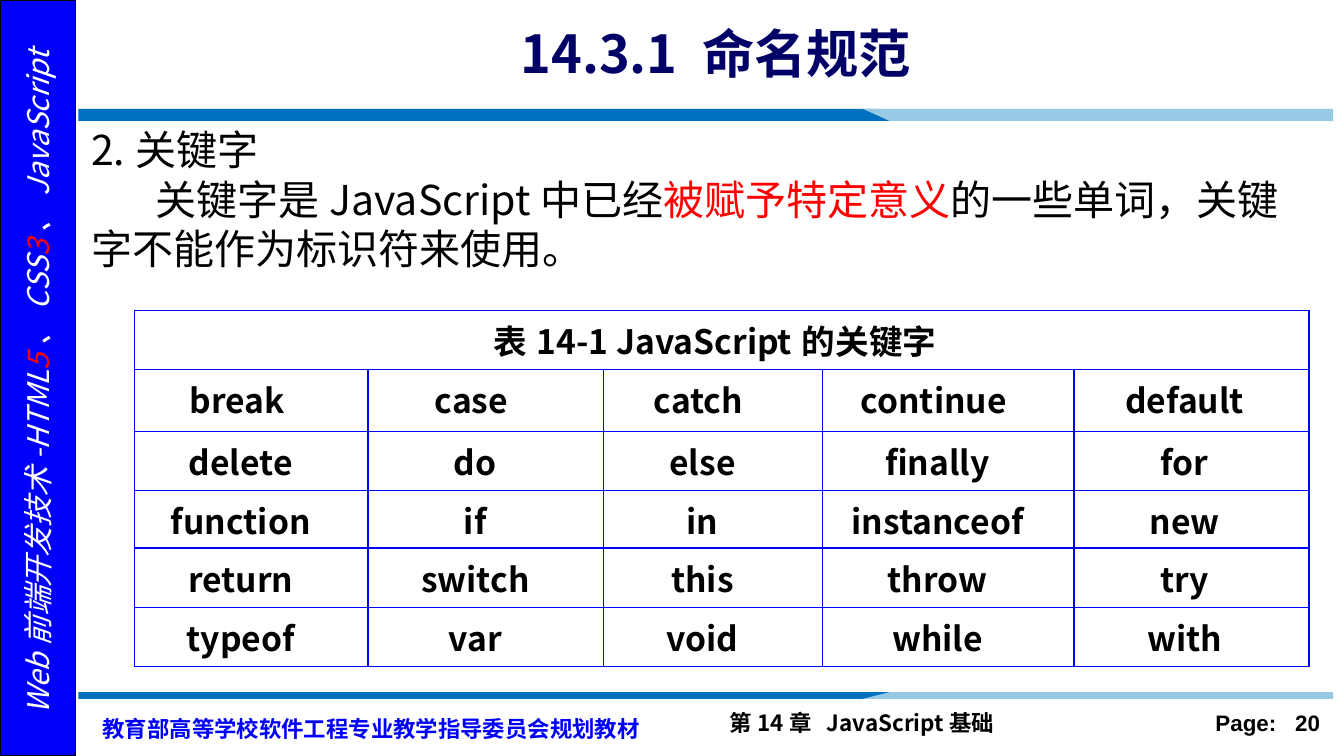
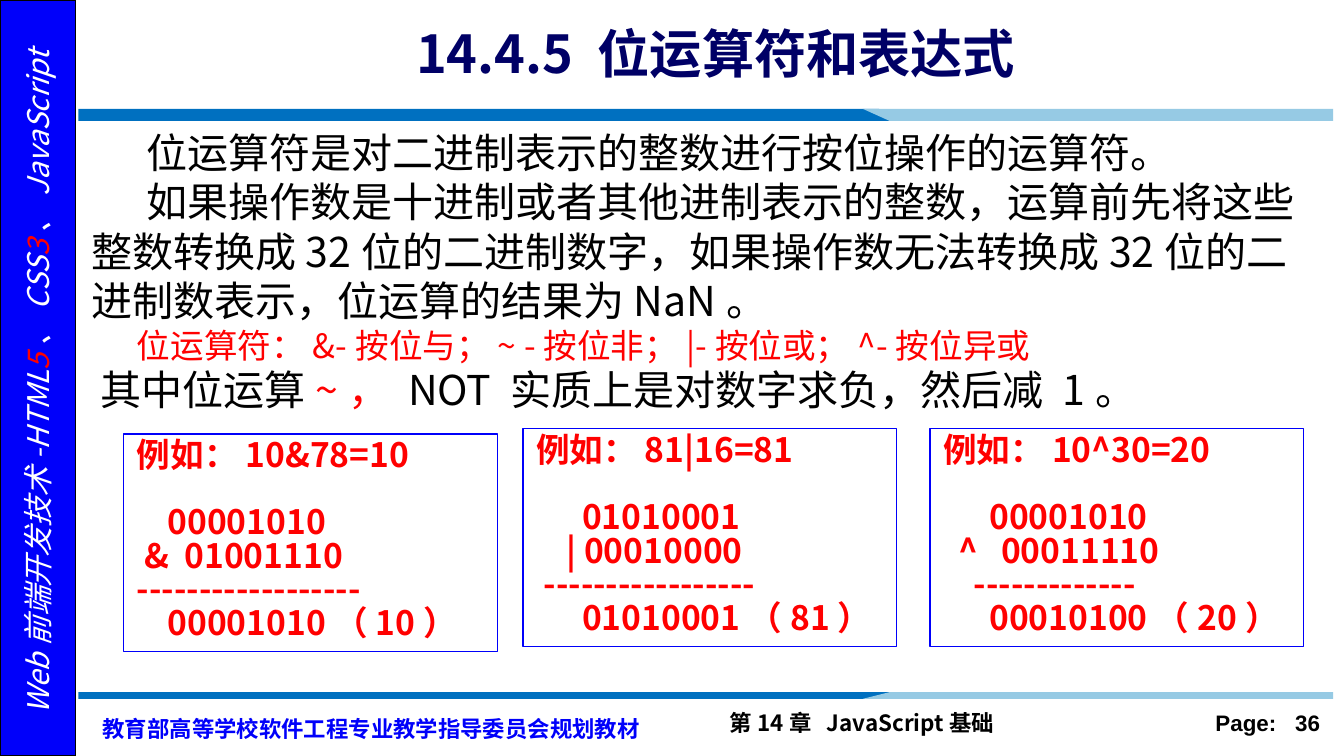
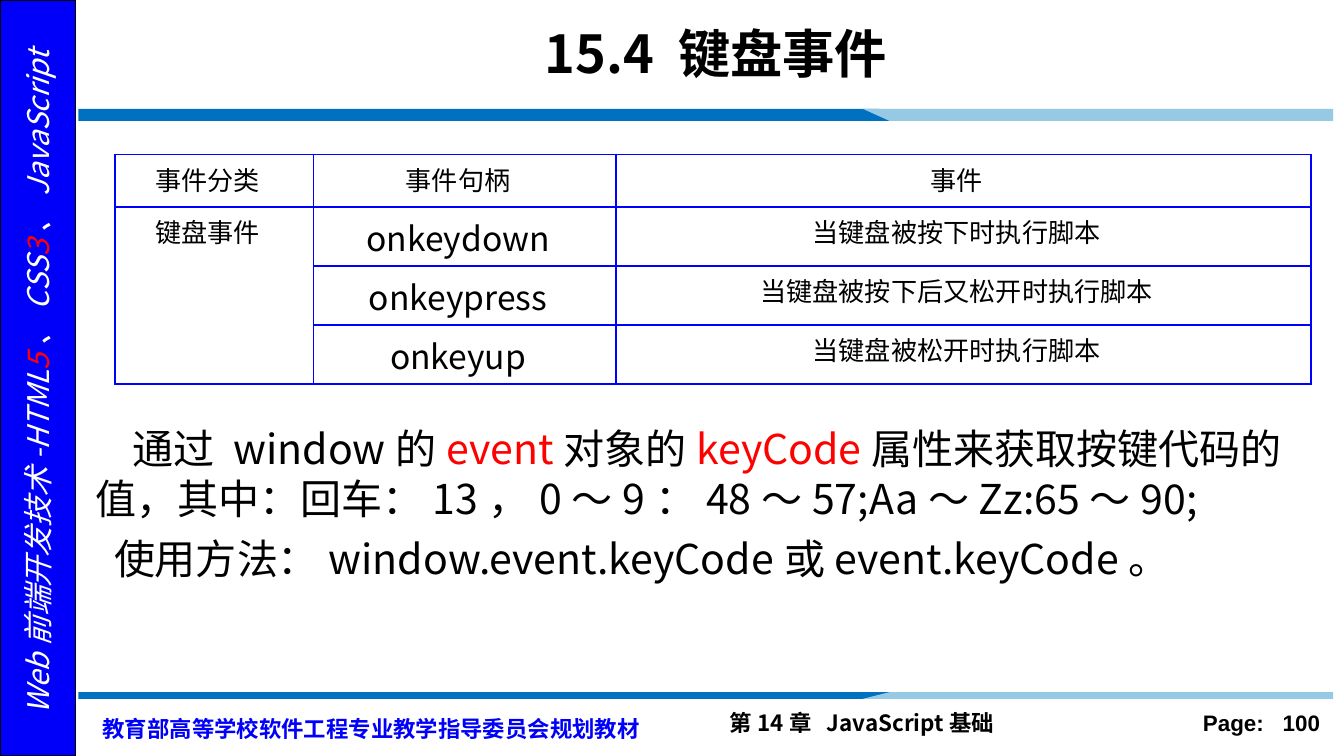
from dataclasses import dataclass

from lxml import etree
from pptx import Presentation
from pptx.dml.color import RGBColor
from pptx.enum.shapes import MSO_SHAPE
from pptx.enum.text import MSO_ANCHOR, PP_ALIGN
from pptx.oxml.ns import qn
from pptx.util import Emu, Inches, Pt

# Enum members
RECTANGLE = MSO_SHAPE.RECTANGLE
TOP, MIDDLE = MSO_ANCHOR.TOP, MSO_ANCHOR.MIDDLE
LEFT, CENTER, RIGHT = PP_ALIGN.LEFT, PP_ALIGN.CENTER, PP_ALIGN.RIGHT

# Grid: 100 columns across a 16:9 slide, rows as tall as the columns are wide
SLIDE_WIDTH = Inches(10)
SLIDE_HEIGHT = Emu(SLIDE_WIDTH * 9 // 16)
COLUMN = SLIDE_WIDTH / 100
SLIDE_ROWS = SLIDE_HEIGHT / COLUMN

# Colours and fonts
BLACK = RGBColor(0x00, 0x00, 0x00)
WHITE = RGBColor(0xFF, 0xFF, 0xFF)
RED = RGBColor(0xFF, 0x00, 0x00)
NAVY = RGBColor(0x00, 0x00, 0x66)
BLUE = RGBColor(0x00, 0x00, 0xFA)
GRID_BLUE = RGBColor(0x00, 0x00, 0xFF)
BAND_DARK = RGBColor(0x00, 0x70, 0xC0)
BAND_LIGHT = RGBColor(0x96, 0xCA, 0xE4)
FONT, PAGE_FONT = "Noto Sans CJK SC", "Arial"

BODY_SIZE, TABLE_SIZE = 22, 18
SPACE = 0.57  # columns taken by one space at table size


@dataclass(frozen=True)
class Area:
    left: float
    top: float
    width: float
    height: float

    def lengths(self) -> tuple[Emu, ...]:
        return tuple(grid(n) for n in (self.left, self.top, self.width, self.height))


@dataclass(frozen=True)
class Span:
    text: str
    color: RGBColor | None = None
    tracking: float = 0


@dataclass(frozen=True)
class Para:
    spans: tuple[Span, ...]
    indent: float = 0
    size: float | None = None
    before: float = 0
    after: float = 0


@dataclass(frozen=True)
class Example:
    area: Area
    paras: tuple[Para, ...]


def grid(count: float) -> Emu:
    return Emu(round(count * COLUMN))


def line(*parts: str | Span, **options) -> Para:
    """Make a paragraph of plain strings and formatted spans."""
    spans = tuple(Span(part) if isinstance(part, str) else part for part in parts)
    return Para(spans, **options)


def red(text: str) -> Span:
    return Span(text, RED)


def gap(points: float) -> Span:
    """A single space widened by some points."""
    return Span(" ", tracking=points)


# Text
def write(frame, paras, *, size=BODY_SIZE, color=BLACK, font=FONT, bold=False,
          italic=False, align=LEFT, spacing=None) -> None:
    frame.word_wrap = True
    for number, item in enumerate(paras):
        para = frame.paragraphs[0] if number == 0 else frame.add_paragraph()
        para.alignment = align
        para.space_before, para.space_after = Pt(item.before), Pt(item.after)
        if spacing:
            para.line_spacing = spacing
        if item.indent:
            para._p.get_or_add_pPr().set("indent", str(grid(item.indent)))
        for span in item.spans:
            run = para.add_run()
            run.text = span.text
            run.font.size = Pt(item.size or size)
            run.font.bold, run.font.italic = bold, italic
            run.font.color.rgb = span.color or color
            run.font.name = font
            properties = run._r.get_or_add_rPr()
            etree.SubElement(properties, qn("a:ea")).set("typeface", font)
            if span.tracking:
                properties.set("spc", str(round(span.tracking * 100)))


def add_text(slide, area: Area, *paras: Para, anchor=TOP, rotation=0, **style) -> None:
    box = slide.shapes.add_textbox(*area.lengths())
    box.rotation = rotation
    box.text_frame.vertical_anchor = anchor
    write(box.text_frame, paras, **style)


# Shapes
def paint(shape, fill=None, outline=None, weight=1.0) -> None:
    shape.shadow.inherit = False
    if fill is None:
        shape.fill.background()
    else:
        shape.fill.solid()
        shape.fill.fore_color.rgb = fill
    if outline is None:
        shape.line.fill.background()
    else:
        shape.line.color.rgb = outline
        shape.line.width = Pt(weight)


def add_panel(slide, area: Area, *paras: Para, fill=None, outline=None, weight=1.0,
              anchor=TOP, **style) -> None:
    panel = slide.shapes.add_shape(RECTANGLE, *area.lengths())
    paint(panel, fill, outline, weight)
    panel.text_frame.vertical_anchor = anchor
    write(panel.text_frame, paras, **style)


def add_band(slide, outer: float, inner: float) -> None:
    """Draw a dark and a light strip that meet on a slant."""
    strips = (
        (BAND_DARK, ((5.83, outer), (65.4, outer), (67.2, inner), (5.83, inner))),
        (BAND_LIGHT, ((64.2, outer), (99.2, outer), (99.2, inner), (66.2, inner))),
    )
    for color, corners in strips:
        points = [(grid(x), grid(y)) for x, y in corners]
        builder = slide.shapes.build_freeform(*points[0])
        builder.add_line_segments(points[1:], close=True)
        paint(builder.convert_to_shape(), color)


# Tables
def add_borders(cell) -> None:
    properties = cell._tc.get_or_add_tcPr()
    for position, side in enumerate(("lnL", "lnR", "lnT", "lnB")):
        border = etree.Element(qn(f"a:{side}"), w=str(Pt(1)))
        fill = etree.SubElement(border, qn("a:solidFill"))
        etree.SubElement(fill, qn("a:srgbClr"), val=str(GRID_BLUE))
        properties.insert(position, border)


def add_grid_table(slide, left: float, top: float, widths, heights):
    area = Area(left, top, sum(widths), sum(heights))
    table = slide.shapes.add_table(len(heights), len(widths), *area.lengths()).table
    table.first_row = table.horz_banding = False
    for column, width in zip(table.columns, widths):
        column.width = grid(width)
    for row, height in zip(table.rows, heights):
        row.height = grid(height)
    for cell in table.iter_cells():
        cell.fill.background()
        add_borders(cell)
    return table


def fill_cell(cell, text: str, *, right=1.0, **style) -> None:
    cell.margin_left, cell.margin_right = 0, grid(right)
    cell.margin_top = cell.margin_bottom = grid(0.4)
    write(cell.text_frame, [line(text)], align=CENTER, **style)


# Frame shared by all slides
def add_page(deck, title: str, number: int, title_color=NAVY):
    slide = deck.slides.add_slide(deck.slide_layouts[6])
    add_text(slide, Area(53.3, 52.3, 32.9, 3),
             line("第14章", gap(2.7), "JavaScript基础"), size=12, bold=True)
    add_text(slide, Area(86.7, 52.3, 12.5, 3), line("Page:", gap(6.7), str(number)),
             size=12, font=PAGE_FONT, bold=True, align=RIGHT)
    add_panel(slide, Area(0, 0, 5.63, SLIDE_ROWS), fill=BLUE, outline=BLACK)
    add_text(slide, Area(6.65, 52.2, 43.3, 3.5),
             line("教育部高等学校软件工程专业教学指导委员会规划教材"),
             size=12, color=BLUE, bold=True, spacing=Pt(18))
    add_text(slide, Area(-23.1, 26.6, 51.9, 3.7),
             line("Web前端开发技术-HTML", red("5"), "、CSS", red("3"), "、JavaScript"),
             size=16, color=WHITE, italic=True, align=CENTER, rotation=270)
    add_band(slide, 8.1, 9)
    add_band(slide, 52, 51.5)
    add_text(slide, Area(10.8, 0.8, 84.9, 6.2), line(title),
             size=28, color=title_color, bold=True, align=CENTER, anchor=MIDDLE)
    return slide


# Keywords
KEYWORDS = (
    ("break", "case", "catch", "continue", "default"),
    ("delete", "do", "else", "finally", "for"),
    ("function", "if", "in", "instanceof", "new"),
    ("return", "switch", "this", "throw", "try"),
    ("typeof", "var", "void", "while", "with"),
)


def add_keywords_slide(deck) -> None:
    slide = add_page(deck, "14.3.1 命名规范", 20)
    add_text(slide, Area(5.8, 8.8, 93.1, 13.5),
             line("2.关键字"),
             line("关键字是JavaScript中已经", red("被赋予特定意义"),
                  "的一些单词，关键字不能作为标识符来使用。", indent=4.8))
    table = add_grid_table(slide, 10, 23.1, (17.4, 17.5, 16.3, 18.7, 17.5),
                           (4.4, 4.6, 4.4, 4.3, 4.4, 4.4))
    table.cell(0, 0).merge(table.cell(0, 4))
    fill_cell(table.cell(0, 0), "表14-1 JavaScript的关键字", size=TABLE_SIZE, bold=True)
    for row, words in enumerate(KEYWORDS, start=1):
        shift = 2 * SPACE if row == 1 else SPACE
        for column, word in enumerate(words):
            right = 1 if column == len(words) - 1 else 1 + shift
            fill_cell(table.cell(row, column), word, right=right,
                      size=TABLE_SIZE, bold=True)


# Bitwise operators
def example(area: Area, heading: str, first: Para, second: Para, rule: Para,
            result: str) -> Example:
    """An operation written out in columns, with its result under a rule."""
    return Example(area, (line(heading), first, second, rule,
                          line(result, indent=first.indent)))


EXAMPLES = (
    example(Area(9.2, 32.3, 27.8, 16.2), "例如：10&78=10",
            line("00001010", indent=4 * SPACE, before=18),
            line("&", gap(4), "01001110", indent=SPACE),
            line("-" * 18), "00001010（10）"),
    example(Area(38.9, 31.9, 27.8, 16.2), "例如：81|16=81",
            line("01010001", indent=6 * SPACE, before=18),
            line("| 00010000", indent=4 * SPACE),
            line("-" * 17, indent=SPACE), "01010001（81）"),
    example(Area(69.2, 31.9, 27.8, 16.2), "例如：10^30=20",
            line("00001010", indent=6 * SPACE, before=18),
            line("^", gap(8), "00011110", indent=2 * SPACE),
            line("-" * 13, indent=4 * SPACE), "00010100（20）"),
)


def add_bitwise_slide(deck) -> None:
    slide = add_page(deck, "14.4.5 位运算符和表达式", 36)
    add_text(slide, Area(5.8, 9, 93.1, 22.5),
             line("位运算符是对二进制表示的整数进行按位操作的运算符。", indent=4.1),
             line("如果操作数是十进制或者其他进制表示的整数，运算前先将这些整数转换成32位的"
                  "二进制数字，如果操作数无法转换成32位的二进制数表示，位运算的结果为NaN。",
                  indent=4.1),
             line(red("位运算符：&-按位与；~ -按位非；|-按位或；^-按位异或"),
                  indent=3.4, size=18),
             line("其中位运算", red("~， "), "NOT 实质上是对数字求负，然后减 1。", indent=0.7))
    for item in EXAMPLES:
        add_panel(slide, item.area, *item.paras, outline=BLUE, weight=0.75,
                  size=18, color=RED, bold=True, spacing=Pt(18))


# Keyboard events
HEADINGS = ("事件分类", "事件句柄", "事件")
EVENTS = (
    ("onkeydown", "当键盘被按下时执行脚本"),
    ("onkeypress", "当键盘被按下后又松开时执行脚本"),
    ("onkeyup", "当键盘被松开时执行脚本"),
)


def add_keyboard_slide(deck) -> None:
    slide = add_page(deck, "15.4 键盘事件", 100, title_color=BLACK)
    table = add_grid_table(slide, 8.54, 11.5, (14.8, 22.5, 51.7), (3.9, 4.4, 4.4, 4.4))
    for column, heading in enumerate(HEADINGS):
        fill_cell(table.cell(0, column), heading, size=14)
    table.cell(1, 0).merge(table.cell(len(EVENTS), 0))
    fill_cell(table.cell(1, 0), "键盘事件", size=14)
    for row, (handler, meaning) in enumerate(EVENTS, start=1):
        fill_cell(table.cell(row, 1), handler, size=TABLE_SIZE)
        fill_cell(table.cell(row, 2), meaning, size=14)
    add_panel(slide, Area(6.1, 30.8, 92.2, 13.3),
              line("通过 window的", red("event"), "对象的", red("keyCode"),
                   "属性来获取按键代码的值，其中：回车：13，0～9：48～57;Aa～Zz:65～90;",
                   indent=2.8, after=6),
              line("使用方法：window.event.keyCode或event.keyCode。", indent=1.4),
              fill=WHITE, outline=WHITE, weight=3, anchor=MIDDLE)


def main() -> None:
    deck = Presentation()
    deck.slide_width, deck.slide_height = SLIDE_WIDTH, SLIDE_HEIGHT
    add_keywords_slide(deck)
    add_bitwise_slide(deck)
    add_keyboard_slide(deck)
    deck.save("out.pptx")


if __name__ == "__main__":
    main()
